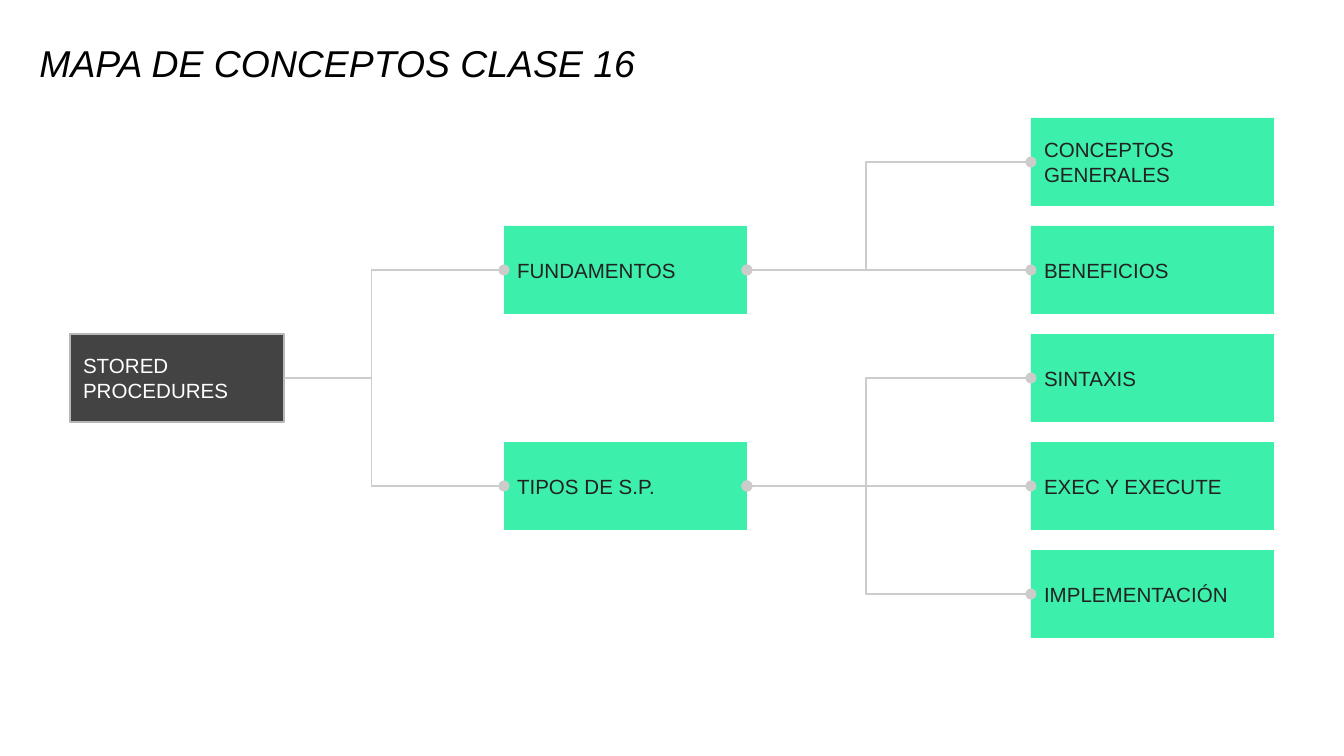
from dataclasses import dataclass

from lxml import etree
from pptx import Presentation
from pptx import util as u
from pptx.dml.color import RGBColor
from pptx.enum import shapes, text
from pptx.oxml import ns

EMU_PER_PX = 6804
MIDDLE_Y, ROW_PITCH = 378, 108
BOX_HEIGHT, INSET = 88, 13
ROOT_COLUMN, TOPIC_COLUMN, DETAIL_COLUMN = (70, 214), (504, 243), (1031, 243)
LEFT_SITE, RIGHT_SITE = 1, 3
ROOT_BEND, TOPIC_BEND = 39700, 42000

ROOT = "STORED PROCEDURES"
TOPICS = [
    ("FUNDAMENTOS", -1, [("CONCEPTOS GENERALES", -2), ("BENEFICIOS", -1)]),
    ("TIPOS DE S.P.", 1,
     [("SINTAXIS", 0), ("EXEC Y EXECUTE", 1), ("IMPLEMENTACIÓN", 2)]),
]


@dataclass(frozen=True)
class Theme:
    font: str = "Arial"
    title_size: int = 20
    label_size: int = 11
    line_width: float = 0.75
    title: str = "000000"
    topic: str = "3CEFAB"
    topic_label: str = "222222"
    root: str = "434343"
    root_label: str = "FFFFFF"
    root_border: str = "B7B7B7"
    branch: str = "CCCCCC"


THEME = Theme()


def px(length):
    return u.Emu(length * EMU_PER_PX)


def style_text(paragraph, size, color, italic=False):
    paragraph.alignment = text.PP_ALIGN.LEFT
    for run in paragraph.runs:
        run.font.name = THEME.font
        run.font.size = u.Pt(size)
        run.font.italic = italic
        run.font.color.rgb = RGBColor.from_string(color)


def style_line(line, color):
    line.color.rgb = RGBColor.from_string(color)
    line.width = u.Pt(THEME.line_width)


def add_title(slide, wording):
    title = slide.shapes.title
    title.left, title.top, title.width, title.height = map(px, (26, 30, 1110, 62))
    frame = title.text_frame
    frame.text = wording
    frame.auto_size = text.MSO_AUTO_SIZE.NONE
    frame.vertical_anchor = text.MSO_ANCHOR.BOTTOM
    frame.paragraphs[0].line_spacing = 0.9
    style_text(frame.paragraphs[0], THEME.title_size, THEME.title, italic=True)


def add_concept(concept_map, label, column, row, fill=THEME.topic,
                color=THEME.topic_label, border=None):
    left, width = column
    top = MIDDLE_Y + row * ROW_PITCH - BOX_HEIGHT // 2
    concept = concept_map.shapes.add_shape(
        shapes.MSO_SHAPE.RECTANGLE, px(left), px(top), px(width), px(BOX_HEIGHT))
    concept.shadow.inherit = False
    concept.fill.solid()
    concept.fill.fore_color.rgb = RGBColor.from_string(fill)
    if border:
        style_line(concept.line, border)
    else:
        concept.line.fill.background()
    frame = concept.text_frame
    frame.text = label
    frame.word_wrap = True
    frame.vertical_anchor = text.MSO_ANCHOR.MIDDLE
    frame.margin_left = frame.margin_right = px(INSET)
    frame.margin_top = frame.margin_bottom = px(INSET)
    style_text(frame.paragraphs[0], THEME.label_size, color)
    return concept


def add_branch(concept_map, parent, child, bend, ends):
    branch = concept_map.shapes.add_connector(
        shapes.MSO_CONNECTOR.ELBOW, 0, 0, 0, 0)
    branch.begin_connect(parent, RIGHT_SITE)
    branch.end_connect(child, LEFT_SITE)
    style_line(branch.line, THEME.branch)
    properties = branch.element.spPr
    guides = properties.find(ns.qn("a:prstGeom")).find(ns.qn("a:avLst"))
    etree.SubElement(guides, ns.qn("a:gd"), name="adj1", fmla=f"val {bend}")
    outline = properties.find(ns.qn("a:ln"))
    for end in ends:
        etree.SubElement(outline, ns.qn(f"a:{end}"), type="oval")
    etree.SubElement(properties, ns.qn("a:effectLst"))


def add_concept_map(slide):
    concept_map = slide.shapes.add_group_shape()
    root = add_concept(concept_map, ROOT, ROOT_COLUMN, 0, THEME.root,
                       THEME.root_label, THEME.root_border)
    branches = []
    for topic_label, topic_row, details in TOPICS:
        topic = add_concept(concept_map, topic_label, TOPIC_COLUMN, topic_row)
        branches.append((root, topic, ROOT_BEND, ["tailEnd"]))
        for detail_label, detail_row in details:
            detail = add_concept(concept_map, detail_label, DETAIL_COLUMN, detail_row)
            branches.append((topic, detail, TOPIC_BEND, ["headEnd", "tailEnd"]))
    for branch in branches:
        add_branch(concept_map, *branch)


def main():
    deck = Presentation()
    deck.slide_width, deck.slide_height = px(1344), px(756)
    slide = deck.slides.add_slide(deck.slide_layouts.get_by_name("Title Only"))
    add_title(slide, "MAPA DE CONCEPTOS CLASE 16")
    add_concept_map(slide)
    deck.save("out.pptx")


if __name__ == "__main__":
    main()
